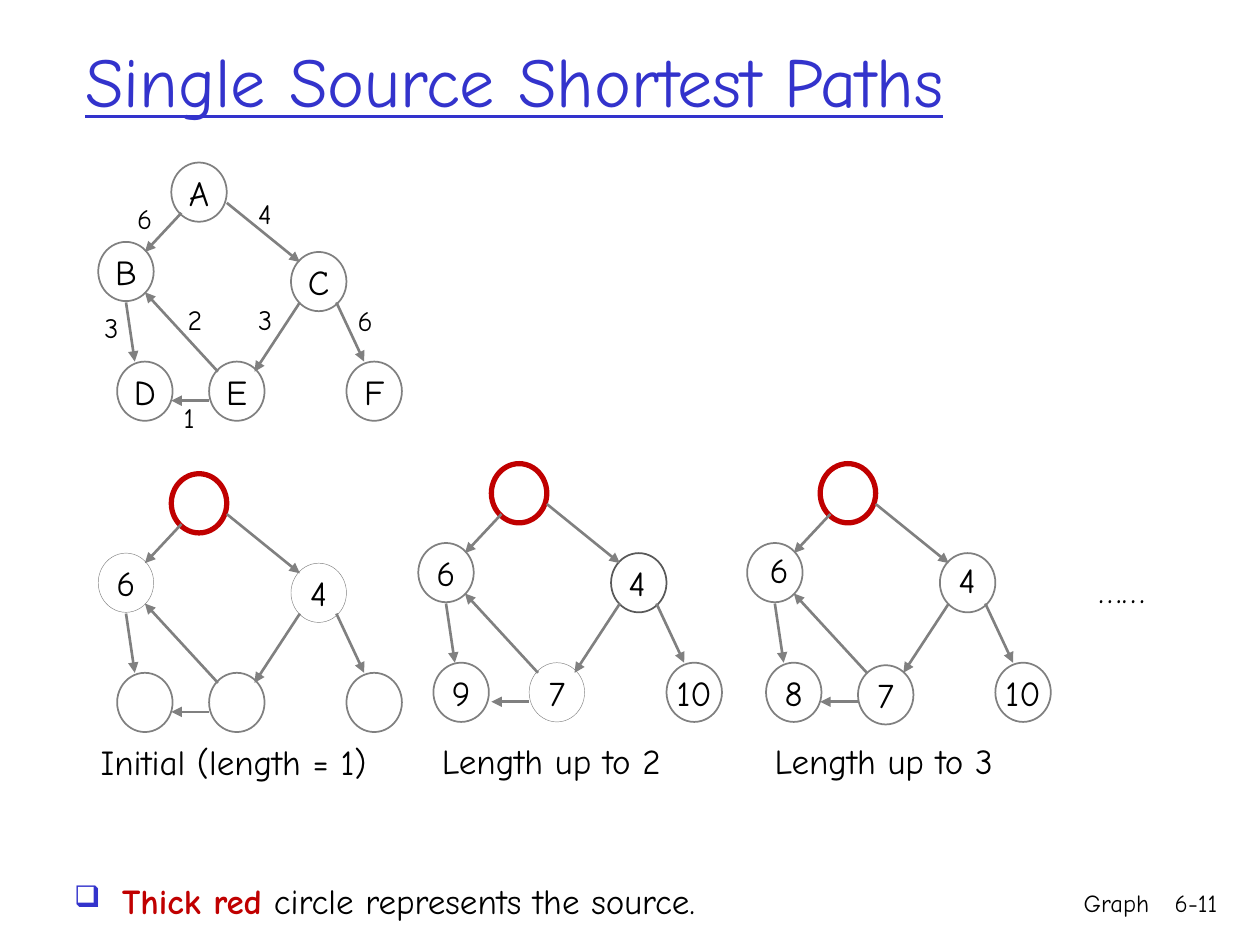
from dataclasses import dataclass

from lxml.etree import SubElement
from pptx import Presentation
from pptx.dml.color import RGBColor
from pptx.enum.shapes import MSO_CONNECTOR, MSO_SHAPE
from pptx.enum.text import MSO_ANCHOR, MSO_AUTO_SIZE, PP_ALIGN
from pptx.oxml.ns import qn
from pptx.util import Inches, Pt


@dataclass(frozen=True)
class Theme:
    """Colours, font and sizes of the slide."""
    font: str = "Comic Neue"
    ink: str = "000000"
    accent: str = "3333CC"
    source: str = "C00000"
    gray: str = "808080"
    dark_gray: str = "595959"
    title: int = 40
    body: int = 20
    weight: int = 16
    footer: int = 14
    hairline: float = 0.25
    outline: float = 1
    arrow: float = 1.5
    thick: float = 3


THEME = Theme()
NODE_WIDTH, NODE_HEIGHT = 0.44, 0.47
NODES = {
    "A": (0.58, 0), "B": (0, 0.63), "C": (1.53, 0.71),
    "D": (0.15, 1.58), "E": (0.88, 1.58), "F": (1.97, 1.58),
}
EDGES = [
    ((0.66, 0.4), (0.37, 0.71)),
    ((1.02, 0.32), (1.6, 0.79)),
    ((0.22, 1.11), (0.29, 1.58)),
    ((1.6, 1.11), (1.24, 1.66)),
    ((0.88, 1.89), (0.58, 1.89)),
    ((1.89, 1.11), (2.11, 1.58)),
    ((0.95, 1.66), (0.37, 1.03)),
]
WEIGHTS = [
    ("6", 0.99, 1.6), ("4", 1.95, 1.56), ("3", 0.73, 2.47), ("2", 1.39, 2.4),
    ("3", 1.95, 2.4), ("1", 1.36, 3.18), ("6", 2.74, 2.41),
]
SOURCE = {"A": (THEME.source, THEME.thick)}
FAINT = (THEME.gray, THEME.hairline)


def style_run(run, size, color=THEME.ink, bold=False):
    """Give a run the slide font with a size and a colour."""
    run.font.name = THEME.font
    run.font.size = Pt(size)
    run.font.bold = bold
    run.font.color.rgb = RGBColor.from_string(color)


def add_text(shapes, text, box, size=THEME.body, color=THEME.ink, wrap=True, grow=False):
    """Add a one-line text box and return its paragraph."""
    frame = shapes.add_textbox(*map(Inches, box)).text_frame
    frame.text = text
    frame.word_wrap = wrap
    if grow:
        frame.auto_size = MSO_AUTO_SIZE.SHAPE_TO_FIT_TEXT
    paragraph = frame.paragraphs[0]
    style_run(paragraph.runs[0], size, color)
    return paragraph


def add_number(shapes, text, box, size):
    """Add a tightly spaced number beside an edge or over a node."""
    add_text(shapes, text, box, size, grow=True).line_spacing = 0.8


def add_node(shapes, label, left, top, color=THEME.gray, width=THEME.outline):
    """Add a hollow node with an optional centred label."""
    node = shapes.add_shape(MSO_SHAPE.OVAL, Inches(left), Inches(top),
                            Inches(NODE_WIDTH), Inches(NODE_HEIGHT))
    node.shadow.inherit = False
    node.fill.background()
    node.line.color.rgb = RGBColor.from_string(color)
    node.line.width = Pt(width)
    if label:
        frame = node.text_frame
        frame.text = label
        frame.word_wrap = False
        frame.vertical_anchor = MSO_ANCHOR.MIDDLE
        frame.paragraphs[0].alignment = PP_ALIGN.CENTER
        style_run(frame.paragraphs[0].runs[0], THEME.body)


def add_edge(shapes, start, end):
    """Add an arrow between two points."""
    edge = shapes.add_connector(MSO_CONNECTOR.STRAIGHT, *map(Inches, start + end))
    edge.line.color.rgb = RGBColor.from_string(THEME.gray)
    edge.line.width = Pt(THEME.arrow)
    SubElement(edge.line._get_or_add_ln(), qn("a:tailEnd"), type="triangle")
    SubElement(edge._element.spPr, qn("a:effectLst"))


def add_graph(slide, left, top, labels, outlines, moved=None):
    """Add one grouped graph at an origin and return the group's shapes."""
    shapes = slide.shapes.add_group_shape().shapes
    places = NODES | (moved or {})
    for name, (x, y) in places.items():
        add_node(shapes, labels.get(name), left + x, top + y, *outlines.get(name, ()))
    for start, end in EDGES:
        add_edge(shapes, (left + start[0], top + start[1]), (left + end[0], top + end[1]))
    return shapes


def add_graphs(slide):
    """Add the weighted graph and the three steps of the search."""
    weighted = add_graph(slide, 0.78, 1.29, {name: name for name in NODES}, {})
    for weight, left, top in WEIGHTS:
        add_number(weighted, weight, (left, top, 0.22, 0.31), THEME.weight)

    add_graph(slide, 0.78, 3.76, {"B": "6", "C": "4"}, SOURCE | {"B": FAINT, "C": FAINT})

    second = add_graph(slide, 3.32, 3.68, {"B": "6", "D": "9", "E": "7", "F": "10"},
                       SOURCE | {"C": (THEME.dark_gray, THEME.outline), "E": FAINT},
                       {"D": (0.12, 1.58)})
    add_number(second, "4", (4.89, 4.47, 0.25, 0.37), THEME.body)

    third = add_graph(slide, 5.93, 3.68, {"D": "8", "E": "7", "F": "10"}, SOURCE,
                      {"E": (0.88, 1.6)})
    add_number(third, "4", (7.51, 4.45, 0.25, 0.37), THEME.body)
    add_number(third, "6", (6.01, 4.37, 0.22, 0.37), THEME.body)


def add_title(slide):
    """Add the underlined title."""
    title = add_text(slide.shapes, "Single Source Shortest Paths", (0.58, 0.25, 8.5, 0.74),
                     THEME.title, THEME.accent)
    title.runs[0].font.underline = True


def add_legend(slide):
    """Add the bulleted remark about the source node."""
    legend = add_text(slide.shapes, "Thick red", (0.49, 6.93, 5.81, 0.46), color=THEME.source)
    legend.runs[0].font.bold = True
    remark = legend.add_run()
    remark.text = " circle represents the source."
    style_run(remark, THEME.body)
    legend.space_before = Pt(4)
    properties = legend._p.get_or_add_pPr()
    properties.set("marL", str(Inches(0.38)))
    properties.set("indent", str(Inches(-0.38)))
    bullet_color = SubElement(properties, qn("a:buClr"))
    SubElement(bullet_color, qn("a:srgbClr"), val=THEME.accent)
    SubElement(properties, qn("a:buSzPct"), val="85000")
    SubElement(properties, qn("a:buChar"), char="❑")


def main():
    """Build and save the slide."""
    presentation = Presentation()
    presentation.slide_width, presentation.slide_height = Inches(10), Inches(7.5)
    slide = presentation.slides.add_slide(presentation.slide_layouts[6])
    for text, left, width in (("Graph", 8.1, 1.12), ("6-11", 9.08, 0.68)):
        footer = add_text(slide.shapes, text, (left, 7, width, 0.5), THEME.footer)
        footer.alignment = PP_ALIGN.RIGHT
    add_title(slide)
    add_graphs(slide)
    add_legend(slide)
    for text, left, top, width in (
        ("Initial (length = 1)", 0.7, 5.83, 2.56),
        ("Length up to 2", 3.41, 5.82, 2.1),
        ("Length up to 3", 6.05, 5.82, 2.1),
        ("……", 8.62, 4.46, 0.6),
    ):
        add_text(slide.shapes, text, (left, top, width, 0.44), wrap=False, grow=True)
    presentation.save("out.pptx")


if __name__ == "__main__":
    main()
